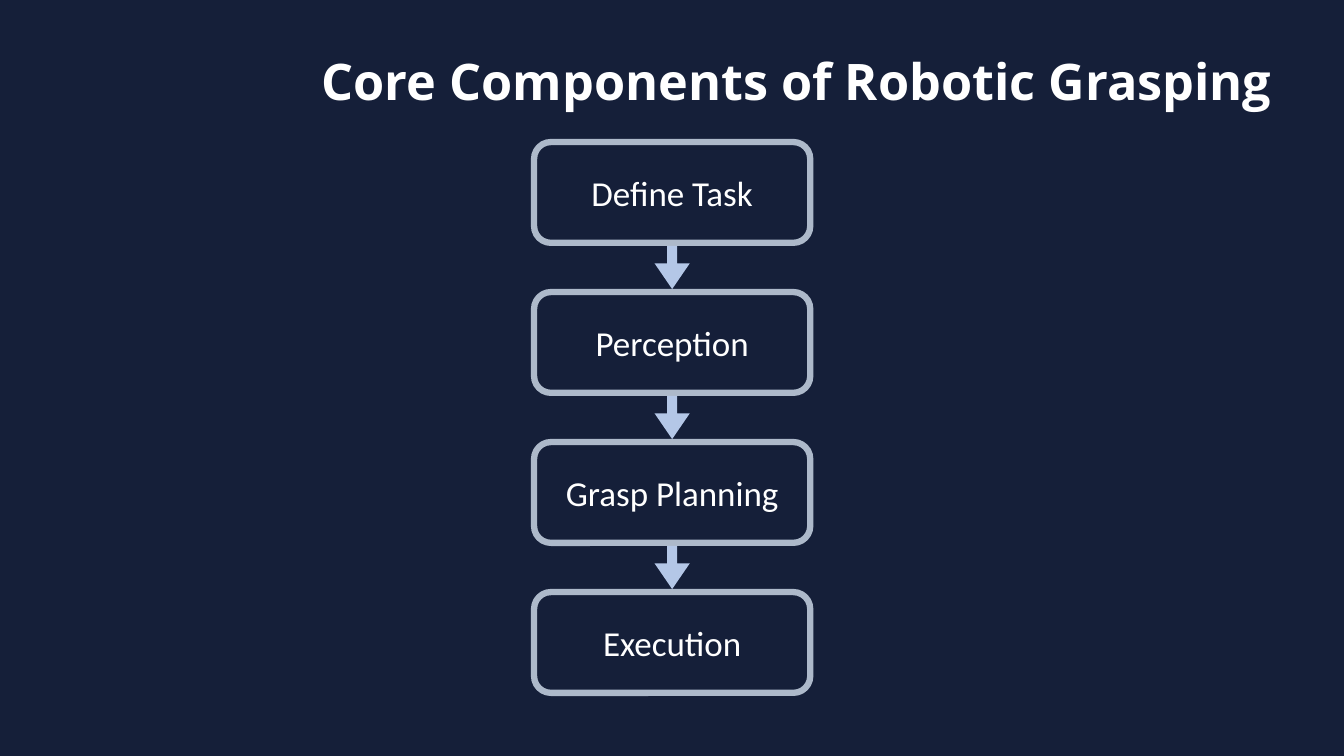
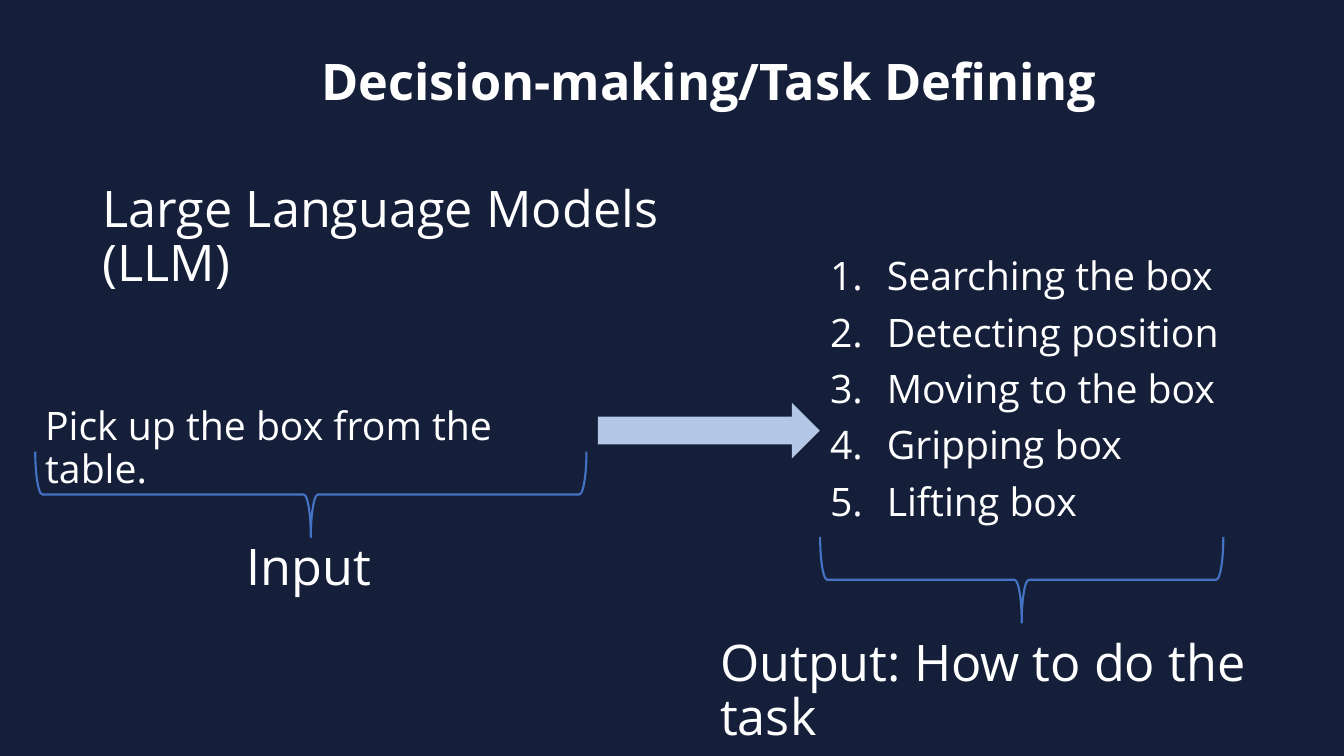
from lxml.etree import SubElement
from pptx import Presentation
from pptx.dml.color import RGBColor
from pptx.enum.shapes import MSO_SHAPE
from pptx.enum.text import MSO_ANCHOR, MSO_AUTO_SIZE, PP_ALIGN
from pptx.oxml.ns import qn
from pptx.util import Cm, Pt

NAVY = RGBColor(0x15, 0x1F, 0x39)
WHITE = RGBColor(0xFF, 0xFF, 0xFF)
STEEL = RGBColor(0xAD, 0xB9, 0xCA)
SKY = RGBColor(0xB4, 0xC7, 0xE7)
BLUE = RGBColor(0x44, 0x72, 0xC4)
HEAD = "Open Sans"
BODY = "Calibri"
TITLE_BOX = (7.85, 1.35, 25.17, 1.55)


def add_run(para, text, size, font=HEAD, bold=False):
    """Append one white run to a paragraph."""
    run = para.add_run()
    run.text = text
    run.font.size = Pt(size)
    run.font.name = font
    run.font.bold = bold
    run.font.color.rgb = WHITE


def add_slide(deck, text):
    """Add a title-only slide with the shared title style."""
    slide = deck.slides.add_slide(deck.slide_layouts[5])
    title = slide.shapes.title
    title.left, title.top, title.width, title.height = map(Cm, TITLE_BOX)
    frame = title.text_frame
    frame.word_wrap = True
    frame.auto_size = MSO_AUTO_SIZE.NONE
    frame.vertical_anchor = MSO_ANCHOR.MIDDLE
    para = frame.paragraphs[0]
    para.alignment = PP_ALIGN.LEFT
    para.line_spacing = 0.9
    para.space_before = Pt(0)
    add_run(para, text, 36, bold=True)
    return slide


def add_shape(slide, kind, box, fill=None, line=None, weight=0):
    """Add a flat preset shape with an optional fill and outline."""
    shape = slide.shapes.add_shape(kind, *map(Cm, box))
    shape.shadow.inherit = False
    if fill is None:
        shape.fill.background()
    else:
        shape.fill.solid()
        shape.fill.fore_color.rgb = fill
    if line is None:
        shape.line.fill.background()
    else:
        shape.line.color.rgb = line
        shape.line.width = Pt(weight)
    return shape


def add_turned(slide, kind, box, **style):
    """Add a shape turned by 270 degrees so that it covers the box."""
    left, top, width, height = box
    shift = (width - height) / 2
    inner = (left + shift, top - shift, height, width)
    add_shape(slide, kind, inner, **style).rotation = 270


def add_text(slide, box, lines, size, listed=False):
    """Add a text box, numbering its lines when listed."""
    frame = slide.shapes.add_textbox(*map(Cm, box)).text_frame
    frame.word_wrap = True
    for index, line in enumerate(lines):
        para = frame.add_paragraph() if index else frame.paragraphs[0]
        para.line_spacing = 0.9
        para.space_before = Pt(10)
        if listed:
            props = para._p.get_or_add_pPr()
            props.set("marL", str(Cm(1.43)))
            props.set("indent", str(-Cm(1.43)))
            SubElement(props, qn("a:buAutoNum"), type="arabicPeriod")
        add_run(para, line, size)


def add_flow(slide, box, steps, gap):
    """Stack equal step boxes in the box, with an arrow in each gap."""
    left, top, width, height = box
    tall = (height - gap * (len(steps) - 1)) / len(steps)
    wide, long = 0.89, 1.09
    for index, step in enumerate(steps):
        edge = top + index * (tall + gap)
        card = add_shape(slide, MSO_SHAPE.ROUNDED_RECTANGLE,
                         (left, edge, width, tall), line=STEEL, weight=4.5)
        frame = card.text_frame
        frame.word_wrap = True
        frame.vertical_anchor = MSO_ANCHOR.MIDDLE
        para = frame.paragraphs[0]
        para.alignment = PP_ALIGN.CENTER
        add_run(para, step, 25, BODY)
        if index:
            spot = (left + (width - wide) / 2,
                    edge - (gap + long) / 2, wide, long)
            arrow = add_shape(slide, MSO_SHAPE.DOWN_ARROW, spot, fill=SKY)
            arrow.adjustments[0] = 0.28
            arrow.adjustments[1] = 0.73


def add_brace(slide, box):
    """Draw a brace that points down from the box."""
    add_turned(slide, MSO_SHAPE.LEFT_BRACE, box, line=BLUE, weight=1.5)


def add_input(slide, left, top):
    """Place the command, its brace and its label."""
    add_text(slide, (left, top, 14.17, 1.55),
             ["Pick up the box from the table."], 28)
    add_brace(slide, (left, top + 1.25, 13.89, 2.16))
    add_text(slide, (left + 5.08, top + 3.4, 3.73, 1.55), ["Input"], 36)


def add_output(slide, left, top):
    """Place the numbered steps, their brace and their label."""
    steps = ["Searching the box", "Detecting position", "Moving to the box",
             "Gripping box", "Lifting box"]
    add_text(slide, (left, top, 12.8, 7.54), steps, 28, listed=True)
    add_brace(slide, (left, top + 7.18, 10.16, 2.16))
    add_text(slide, (left - 2.77, top + 9.6, 15.95, 1.55),
             ["Output: How to do the task"], 36)


def main():
    """Build and save both slides."""
    deck = Presentation()
    deck.slide_width, deck.slide_height = Cm(33.87), Cm(19.05)
    back = deck.slide_master.background.fill
    back.solid()
    back.fore_color.rgb = NAVY

    slide = add_slide(deck, "Core Components of Robotic Grasping")
    steps = ["Define Task", "Perception", "Grasp Planning", "Execution"]
    add_flow(slide, (13.46, 3.58, 6.96, 13.88), steps, 1.24)

    slide = add_slide(deck, "Decision-making/Task Defining")
    add_text(slide, (2.34, 4.5, 17.81, 1.55),
             ["Large Language Models (LLM)"], 36)
    add_input(slide, 0.89, 10.13)
    add_turned(slide, MSO_SHAPE.DOWN_ARROW, (15.07, 10.15, 5.59, 1.4),
               fill=SKY)
    add_output(slide, 20.67, 6.35)
    deck.save("out.pptx")


if __name__ == "__main__":
    main()
